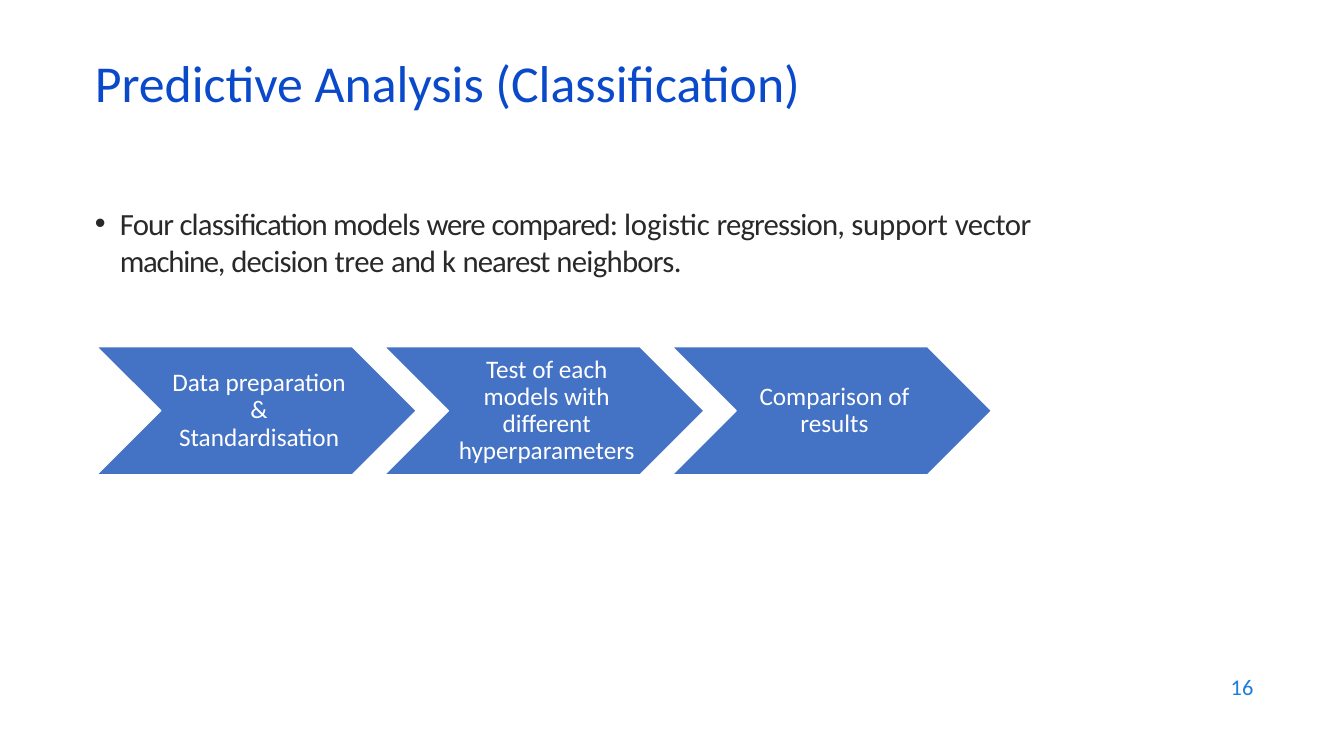
import pptx
import pptx.dml.color
import pptx.enum.shapes
import pptx.enum.text
import pptx.oxml
import pptx.oxml.ns
import pptx.util
from pptx.util import Inches

FONT = "Calibri"
COLORS = {"title": "0B49CB", "body": "292929", "step": "4472C4",
          "white": "FFFFFF", "number": "1C7DDB"}
ALIGN = pptx.enum.text.PP_ALIGN
MIDDLE = pptx.enum.text.MSO_ANCHOR.MIDDLE

# Each piece of the sentence with its letter spacing in points
SUMMARY = [
    ("Four classification models ", -0.6), ("were ", -0.8), ("compared: ", -0.7),
    ("logistic ", -0.1), ("regression, ", -0.6), ("support ", -0.1),
    ("vector ", -0.3), ("machine, ", -0.9), ("decision ", -0.6), ("tree ", -0.3),
    ("and ", -0.7), ("k ", -0.2), ("nearest ", -0.7), ("neighbors.", -0.5),
]
STEPS = ["Data preparation & Standardisation",
         "Test of each models with different hyperparameters",
         "Comparison of results"]
STEP_WIDTH, STEP_HEIGHT = 3.17, 1.27
STEP_PITCH = 0.9 * STEP_WIDTH


def rgb(name):
    return pptx.dml.color.RGBColor.from_string(COLORS[name])


def place(shape, left, top, width, height):
    shape.left, shape.top = Inches(left), Inches(top)
    shape.width, shape.height = Inches(width), Inches(height)


def set_insets(frame, left, top, right, bottom):
    frame.margin_left, frame.margin_top = Inches(left), Inches(top)
    frame.margin_right, frame.margin_bottom = Inches(right), Inches(bottom)


def format_paragraph(paragraph, size, color, align, line_spacing=1.0):
    paragraph.alignment = align
    paragraph.line_spacing = line_spacing
    paragraph.space_before = pptx.util.Pt(0)
    paragraph.font.name = FONT
    paragraph.font.size = pptx.util.Pt(size)
    paragraph.font.color.rgb = rgb(color)


def prepare_frame(shape, anchor):
    frame = shape.text_frame
    frame.word_wrap = True
    frame.auto_size = pptx.enum.text.MSO_AUTO_SIZE.NONE
    frame.vertical_anchor = anchor
    return frame


def add_title(slide, text):
    title = slide.shapes.title
    place(title, 0.84, 0.59, 11.5, 0.6)
    frame = prepare_frame(title, MIDDLE)
    frame.text = text
    format_paragraph(frame.paragraphs[0], 37, "title", ALIGN.LEFT, 0.7)


def add_summary(slide):
    summary = slide.placeholders[1]
    place(summary, 0.93, 2.01, 10.34, 0.76)
    frame = prepare_frame(summary, pptx.enum.text.MSO_ANCHOR.TOP)
    set_insets(frame, 0, 0.02, 0, 0)
    paragraph = frame.paragraphs[0]
    properties = paragraph._p.get_or_add_pPr()
    properties.set("marL", str(Inches(0.26)))
    properties.set("indent", str(Inches(-0.25)))
    properties.append(pptx.oxml.parse_xml(
        f'<a:buChar {pptx.oxml.ns.nsdecls("a")} char="•"/>'))
    format_paragraph(paragraph, 22, "body", ALIGN.LEFT)
    for text, spacing in SUMMARY:
        run = paragraph.add_run()
        run.text = text
        run.font._element.set("spc", str(round(spacing * 100)))


def add_step(slide, left, text):
    step = slide.shapes.add_shape(
        pptx.enum.shapes.MSO_SHAPE.CHEVRON, Inches(left), Inches(3.44),
        Inches(STEP_WIDTH), Inches(STEP_HEIGHT))
    step.shadow.inherit = False
    step.fill.solid()
    step.fill.fore_color.rgb = rgb("step")
    step.line.color.rgb = rgb("white")
    step.line.width = pptx.util.Pt(1)
    frame = prepare_frame(step, MIDDLE)
    set_insets(frame, 0.08, 0.03, 0.03, 0.03)
    frame.text = text
    format_paragraph(frame.paragraphs[0], 18, "white", ALIGN.CENTER, 0.9)


def add_page_number(slide, number):
    box = slide.shapes.add_textbox(Inches(9.53), Inches(6.59), Inches(3), Inches(0.44))
    frame = prepare_frame(box, MIDDLE)
    frame.text = number
    format_paragraph(frame.paragraphs[0], 16, "number", ALIGN.RIGHT)


def main():
    deck = pptx.Presentation()
    deck.slide_width, deck.slide_height = Inches(13.33), Inches(7.5)
    slide = deck.slides.add_slide(deck.slide_layouts[1])
    add_title(slide, "Predictive Analysis (Classification)")
    add_summary(slide)
    for index, text in enumerate(STEPS):
        add_step(slide, 0.96 + index * STEP_PITCH, text)
    add_page_number(slide, "16")
    deck.save("out.pptx")


if __name__ == "__main__":
    main()
